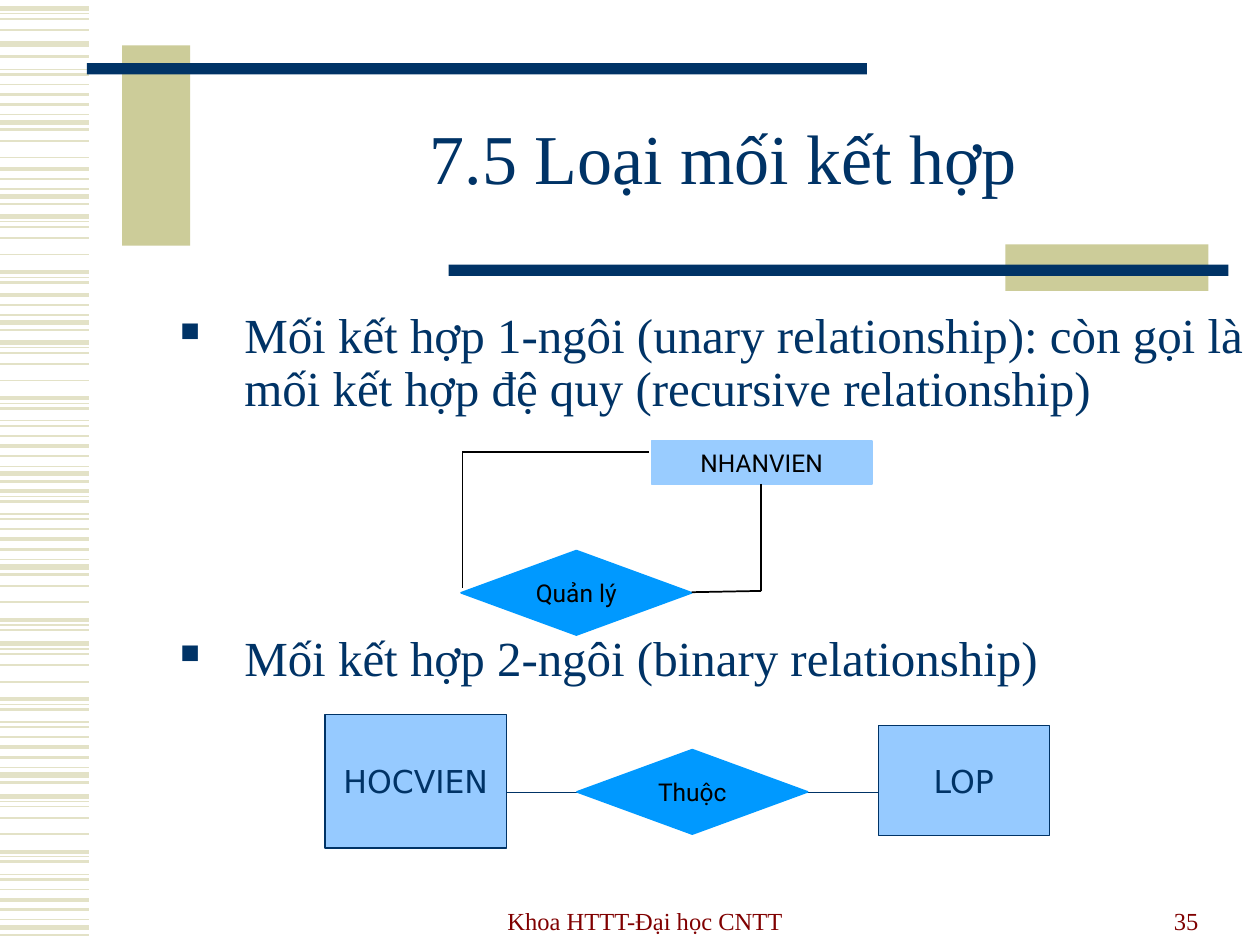
from typing import NamedTuple

import pptx
import pptx.dml.color
import pptx.enum.shapes
import pptx.enum.text
import pptx.oxml
import pptx.oxml.ns
import pptx.util

RGBColor = pptx.dml.color.RGBColor
SHAPE = pptx.enum.shapes.MSO_SHAPE
ALIGN = pptx.enum.text.PP_ALIGN
ANCHOR = pptx.enum.text.MSO_ANCHOR
Pt = pptx.util.Pt

NAVY = RGBColor(0x00, 0x33, 0x66)
KHAKI = RGBColor(0xCC, 0xCC, 0x99)
PALE_KHAKI = RGBColor(0xE3, 0xE2, 0xC7)
MAROON = RGBColor(0x80, 0x00, 0x00)
BLACK = RGBColor(0x00, 0x00, 0x00)
ENTITY_BLUE = RGBColor(0x96, 0xCA, 0xFF)
LIGHT_BLUE = RGBColor(0x99, 0xCC, 0xFF)
DIAMOND_BLUE = RGBColor(0x00, 0x99, 0xFF)

SERIF, SANS, ENTITY_FONT = "Times New Roman", "Roboto", "DejaVu Sans"

# The slide is a grid of 100 columns by 75 rows of square cells.
COLUMNS, ROWS = 100, 75
CELL = pptx.util.Inches(0.1)

# One band of stripes: (row offset, line width in points)
STRIPE_BAND = [(0, 3), (0.4, 0.75), (0.8, 1), (1.7, 1), (3, 1), (4.4, 2.25),
               (4.8, 0.75), (5.2, 1.5), (6.2, 0.75), (6.6, 1.5), (7.4, 1),
               (8.2, 2.25), (9, 1.5), (9.8, 0.75), (10.4, 3), (11, 1.5)]
# Bands down the margin: (top row, first stripe, end stripe)
STRIPE_RUNS = [(0.7, 0, 4), (-6.9, 14, 15), (-0.7, 7, 16), (9.5, 3, 5),
               (5.2, 11, 16), (17.2, 0, 8), (15.2, 11, 16), (27.2, 0, 16),
               (34.6, 5, 16), (44.8, 3, 8), (51.1, 0, 16), (63.2, 0, 16)]


class Box(NamedTuple):
    """A region of the slide, measured in grid cells."""
    left: float
    top: float
    width: float
    height: float

    def inner(self, column, row, width, height):
        return Box(self.left + column, self.top + row, width, height)

    def point(self, column, row):
        return self.left + column, self.top + row

    def emu(self):
        return [round(value * CELL) for value in self]


def style(paragraph, font, size, color, align):
    paragraph.alignment = align
    for span in paragraph.runs:
        span.font.name, span.font.size = font, Pt(size)
        span.font.color.rgb = color


def add_line(page, start, end, color, width):
    ends = [round(value * CELL) for value in (*start, *end)]
    line = page.shapes.add_connector(pptx.enum.shapes.MSO_CONNECTOR.STRAIGHT, *ends)
    line.line.color.rgb, line.line.width = color, Pt(width)
    pptx.oxml.ns.qn("a:effectLst")
    line._element.spPr.append(pptx.oxml.parse_xml(
        f"<a:effectLst {pptx.oxml.ns.nsdecls('a')}/>"))


def add_block(page, box, kind, fill, outline=None, width=1):
    block = page.shapes.add_shape(kind, *box.emu())
    block.shadow.inherit = False
    block.fill.solid()
    block.fill.fore_color.rgb = fill
    if outline is None:
        block.line.fill.background()
    else:
        block.line.color.rgb, block.line.width = outline, Pt(width)
    return block


def add_label(block, text, font, size, color):
    frame = block.text_frame
    frame.text = text
    frame.word_wrap = False
    frame.vertical_anchor = ANCHOR.MIDDLE
    style(frame.paragraphs[0], font, size, color, ALIGN.CENTER)


def add_diamond(page, box, text):
    diamond = add_block(page, box, SHAPE.FLOWCHART_DECISION, DIAMOND_BLUE, DIAMOND_BLUE)
    add_label(diamond, text, SANS, 14, BLACK)


def add_entity(page, box, text):
    entity = add_block(page, box, SHAPE.RECTANGLE, ENTITY_BLUE, NAVY, 0.75)
    add_label(entity, text, ENTITY_FONT, 18, NAVY)


def add_text(page, box, text, size, color, align, anchor):
    frame = page.shapes.add_textbox(*box.emu()).text_frame
    frame.word_wrap = True
    frame.vertical_anchor = anchor
    frame.text = text
    for paragraph in frame.paragraphs:
        style(paragraph, SERIF, size, color, align)
    return frame


def draw_margin(page, box):
    for top, first, end in STRIPE_RUNS:
        for offset, width in STRIPE_BAND[first:end]:
            row = top + offset
            add_line(page, box.point(0, row), box.point(box.width, row), PALE_KHAKI, width)


def draw_header(page, box):
    bar_width, bar_height = 61.9, 0.9
    parts = [(2.8, 0, 5.4, 15.9, KHAKI), (0, 1.4, bar_width, bar_height, NAVY),
             (72.9, 15.8, 16.1, 3.7, KHAKI), (28.7, 17.4, bar_width, bar_height, NAVY)]
    for *place, color in parts:
        add_block(page, box.inner(*place), SHAPE.RECTANGLE, color)
    title = add_text(page, box.inner(7.9, 3.1, 85.2, 12.5), "7.5 Loại mối kết hợp",
                     40, NAVY, ALIGN.CENTER, ANCHOR.MIDDLE)
    title.paragraphs[0].line_spacing = 0.85


def draw_bullets(page, box):
    texts = ["Mối kết hợp 1-ngôi (unary relationship): còn gọi là "
             "mối kết hợp đệ quy (recursive relationship)",
             "Mối kết hợp 2-ngôi (binary relationship)"]
    frame = add_text(page, box, "\n".join(texts), 28, NAVY, ALIGN.LEFT, ANCHOR.TOP)
    # The second gap leaves room for the unary diagram.
    for paragraph, gap in zip(frame.paragraphs, (7, 124)):
        paragraph.line_spacing = 0.9
        paragraph.space_before = Pt(gap)
        properties = paragraph._p.get_or_add_pPr()
        properties.set("marL", str(round(9.5 * CELL)))
        properties.set("indent", str(round(-5.1 * CELL)))
        for tag in (f'buClr {pptx.oxml.ns.nsdecls("a")}><a:srgbClr val="{NAVY}"/></a:buClr',
                    f'buSzPct {pptx.oxml.ns.nsdecls("a")} val="55000"/',
                    f'buChar {pptx.oxml.ns.nsdecls("a")} char="■"/'):
            properties.append(pptx.oxml.parse_xml(f"<a:{tag}>"))


def draw_unary(page, box):
    """An entity joined to itself through one diamond."""
    entity = add_block(page, box.inner(15.1, 0, 17.5, 3.4), SHAPE.RECTANGLE,
                       LIGHT_BLUE, LIGHT_BLUE)
    add_label(entity, "NHANVIEN", SANS, 14, BLACK)
    add_diamond(page, box.inner(0, 8.7, 18.3, 6.7), "Quản lý")
    left_path = [(14.9, 0.9), (0.1, 0.9), (0.1, 11.7)]
    right_path = [(23.8, 3.4), (23.8, 11.9), (18.3, 12)]
    for corners in (left_path, right_path):
        for start, end in zip(corners, corners[1:]):
            add_line(page, box.point(*start), box.point(*end), BLACK, 1)


def draw_binary(page, box):
    """Two entities joined through a diamond."""
    middle = 6.2
    add_entity(page, box.inner(0, 0, 14.4, 10.6), "HOCVIEN")
    add_entity(page, box.inner(43.9, 0.9, 13.6, 8.7), "LOP")
    for start, end in ((14.4, 21.2), (37.1, 43.9)):
        add_line(page, box.point(start, middle), box.point(end, middle), NAVY, 0.75)
    add_diamond(page, box.inner(20, 2.8, 18.3, 6.7), "Thuộc")


def draw_footer(page, box):
    add_text(page, box.inner(0, 0, 33.8, box.height), "Khoa HTTT-Đại học CNTT",
             14, MAROON, ALIGN.CENTER, ANCHOR.BOTTOM)
    add_text(page, box.inner(37.8, 0, 24, box.height), "35",
             14, MAROON, ALIGN.RIGHT, ANCHOR.BOTTOM)


def main():
    deck = pptx.Presentation()
    deck.slide_width, deck.slide_height = COLUMNS * CELL, ROWS * CELL
    page = deck.slides.add_slide(deck.slide_layouts[6])
    draw_margin(page, Box(0, 0, 7.1, ROWS))
    draw_header(page, Box(6.9, 3.6, 90.6, 19.5))
    draw_footer(page, Box(34.3, 69.7, 61.8, 5))
    draw_bullets(page, Box(8.9, 24.2, 91.1, 42.4))
    draw_binary(page, Box(25.8, 56.7, 57.5, 10.6))
    draw_unary(page, Box(36.6, 35, 32.6, 15.4))
    deck.save("out.pptx")


if __name__ == "__main__":
    main()
